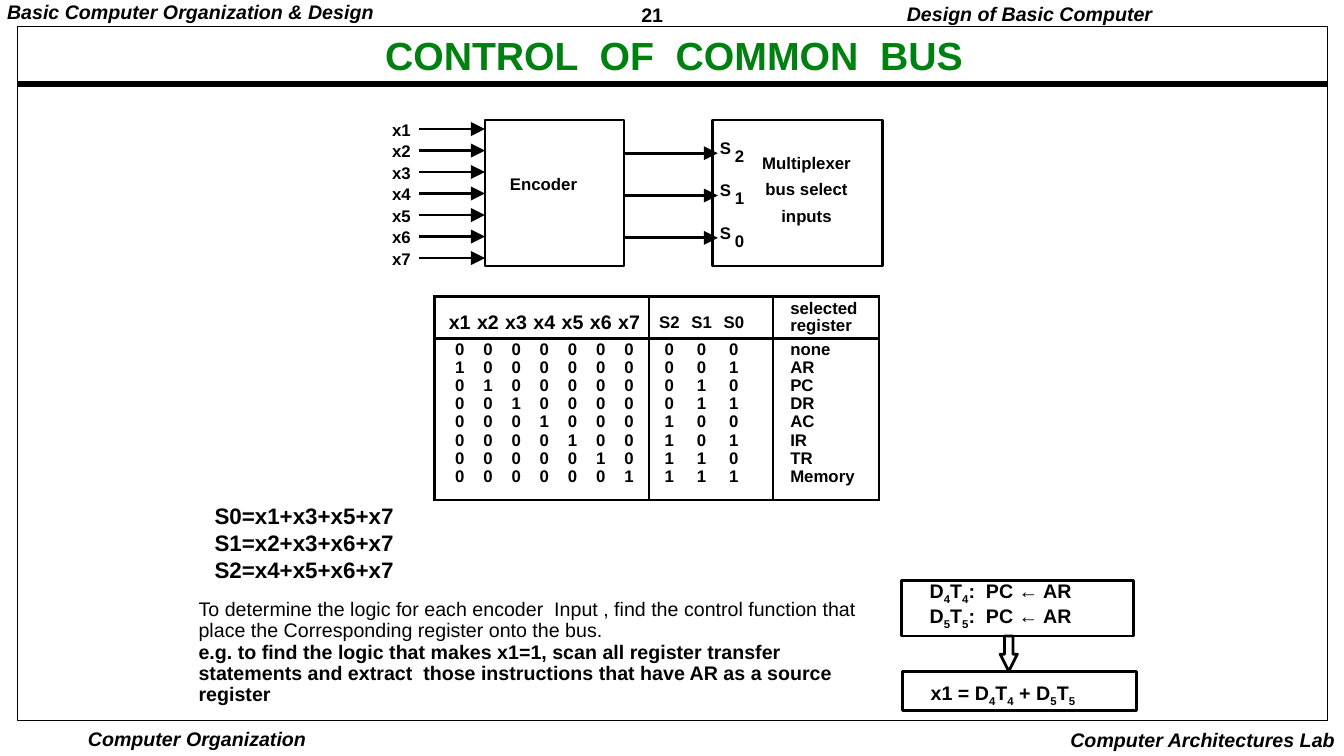
from lxml import etree
from pptx import Presentation
from pptx import util as u
from pptx.dml.color import RGBColor
from pptx.enum import shapes, text
from pptx.oxml import ns

COLORS = {"ink": "000000", "title": "008011"}
INK = RGBColor.from_string(COLORS["ink"])
ALIGN, ANCHOR = text.PP_ALIGN, text.MSO_ANCHOR
HEADING = {"size": u.Pt(14), "bold": True, "italic": True}
STRONG = {"size": u.Pt(14), "bold": True}
SMALL = {"size": u.Pt(12), "bold": True}
WIDE, TIGHT, THIN = (0.1, 0.05), (0.07, 0.03), (0.03, 0.01)

deck = Presentation()
deck.slide_width, deck.slide_height = u.Inches(13.33), u.Inches(7.5)
slide = deck.slides.add_slide(deck.slide_layouts[6])


def write(frame, lines, font, align=ALIGN.LEFT, spacing=0.9, color="ink"):
    """Fill a text frame; parts between underscores become subscripts."""
    for i, line in enumerate(lines):
        para = frame.paragraphs[0] if i == 0 else frame.add_paragraph()
        para.alignment, para.line_spacing = align, spacing
        for j, part in enumerate(line.split("_")):
            if not part:
                continue
            run = para.add_run()
            run.text = part
            for key, value in {"name": "Arial", **font}.items():
                setattr(run.font, key, value)
            run.font.color.rgb = RGBColor.from_string(COLORS[color])
            if j % 2:
                run.font._element.set("baseline", "-25000")


def label(lines, place, font, inset=WIDE, wrap=False, anchor=ANCHOR.TOP, **style):
    """Add a text box at left, top, width, height."""
    frame = slide.shapes.add_textbox(*map(u.Inches, place)).text_frame
    side, edge = map(u.Inches, inset)
    layout = {"word_wrap": wrap, "vertical_anchor": anchor, "margin_left": side,
              "margin_right": side, "margin_top": edge, "margin_bottom": edge}
    for key, value in layout.items():
        setattr(frame, key, value)
    write(frame, lines, font, **style)
    return frame


# Running heads, feet and title
label(["21"], (6.29, 0, 0.38, 0.29), STRONG, TIGHT, spacing=1.0)
label(["Basic Computer Organization & Design"], (0, 0, 3.8, 0.27), HEADING, TIGHT)
label(["Design of Basic Computer"], (8.88, 0, 2.65, 0.31), HEADING, align=ALIGN.RIGHT)
label(["Computer Organization"], (0.84, 7.2, 2.23, 0.26), HEADING, THIN,
      align=ALIGN.CENTER, spacing=1.0)
label(["Computer Architectures Lab"], (10.5, 7.17, 2.84, 0.33), HEADING,
      align=ALIGN.RIGHT, spacing=1.0)
label(["CONTROL  OF  COMMON  BUS"], (2.47, 0.33, 8.43, 0.48),
      {"size": u.Pt(28), "bold": True}, TIGHT, wrap=True, anchor=ANCHOR.MIDDLE,
      align=ALIGN.CENTER, color="title")

# Page frame, block diagram boxes, result boxes and down arrow
RECT = shapes.MSO_SHAPE.RECTANGLE
outlines = [
    (RECT, (0.17, 0.26, 13, 6.89), 0.5),
    (RECT, (4.81, 1.19, 1.38, 1.45), 2),
    (RECT, (7.07, 1.19, 1.68, 1.45), 2),
    (RECT, (8.94, 5.76, 2.3, 0.55), 2),
    (RECT, (8.95, 6.66, 2.32, 0.39), 2),
    (shapes.MSO_SHAPE.DOWN_ARROW, (9.92, 6.31, 0.17, 0.35), 2),
]
for kind, place, weight in outlines:
    outline = slide.shapes.add_shape(kind, *map(u.Inches, place))
    outline.shadow.inherit = False
    outline.fill.background()
    outline.line.color.rgb = INK
    outline.line.width = u.Pt(weight)
outline.adjustments[1] = 1.0

# Title rule, encoder inputs and select lines
input_ys = [1.28 + 1.28 * i / 6 for i in range(7)]
select_ys = [1.52 + 0.42 * i for i in range(3)]
wires = [(0.17, 13.16, 0.83, 4.5, False)]
wires += [(4.16, 4.81, y, 2, True) for y in input_ys]
wires += [(6.2, 7.12, y, 2, True) for y in select_ys]
for start, end, y, weight, arrow in wires:
    wire = slide.shapes.add_connector(shapes.MSO_CONNECTOR.STRAIGHT,
                                      *map(u.Inches, (start, y, end, y)))
    wire.line.color.rgb = INK
    wire.line.width = u.Pt(weight)
    if arrow:
        etree.SubElement(wire.line._get_or_add_ln(), ns.qn("a:tailEnd"),
                         type="triangle", w="lg", len="lg")
    etree.SubElement(wire._element.spPr, ns.qn("a:effectLst"))

# Block diagram labels
for i, y in enumerate(input_ys, 1):
    label([f"x{i}"], (3.79, y - 0.12, 0.39, 0.28), SMALL)
for digit, y in zip("210", select_ys):
    label(["S"], (7.04, y - 0.18, 0.31, 0.28), SMALL)
    label([digit], (7.19, y - 0.1, 0.29, 0.28), SMALL)
label(["Encoder"], (4.96, 1.7, 0.87, 0.28), SMALL)
label(["Multiplexer", "bus select", "inputs"], (7.45, 1.4, 1.1, 0.9), SMALL,
      align=ALIGN.CENTER, spacing=u.Pt(19))

# Truth table: row n raises input xn and shows n in binary on S2 S1 S0
registers = ["none", "AR", "PC", "DR", "AC", "IR", "TR", "Memory"]
rows = [[f"x{i}" for i in range(1, 8)] + ["S2", "S1", "S0", "selected\nregister"]]
for n, register in enumerate(registers):
    rows.append([str(int(n == i)) for i in range(1, 8)] + list(f"{n:03b}") + [register])
widths = [0.39] + [0.28] * 5 + [0.34, 0.36, 0.32, 0.55, 1.05]
heights = [0.42, 0.21] + [0.18] * 6 + [0.31]
left_pads = {0: 0.11, 7: 0.04, 10: 0.17}
right_pads = {6: 0.06, 9: 0.23}
truth = slide.shapes.add_table(
    len(rows), len(widths),
    *map(u.Inches, (4.31, 2.94, sum(widths), sum(heights)))).table
truth.first_row = truth.horz_banding = False
truth._tbl.tblPr.find(ns.qn("a:tableStyleId")).text = "{2D5ABB26-0587-4C30-8999-92F81FD0307C}"
for c, width in enumerate(widths):
    truth.columns[c].width = u.Inches(width)
for r, height in enumerate(heights):
    truth.rows[r].height = u.Inches(height)
    for c, value in enumerate(rows[r]):
        cell = truth.cell(r, c)
        top_pad = {0: 0.11 if c < 10 else 0, 1: 0.03}.get(r, 0)
        pads = {"margin_left": left_pads.get(c, 0), "margin_right": right_pads.get(c, 0),
                "margin_top": top_pad, "margin_bottom": 0}
        for key, pad in pads.items():
            setattr(cell, key, u.Inches(pad))
        cell.vertical_anchor = ANCHOR.MIDDLE if r == 0 else ANCHOR.TOP
        write(cell.text_frame, value.split("\n"), STRONG if r == 0 and c < 7 else SMALL,
              ALIGN.LEFT if c == 10 else ALIGN.CENTER)
        # Every edge is stated, alike on both sides, so none is inferred
        borders = {"lnL": c in (0, 7, 10), "lnR": c in (6, 9, 10),
                   "lnT": r in (0, 1), "lnB": r in (0, 8)}
        for side, drawn in borders.items():
            border = etree.SubElement(cell._tc.get_or_add_tcPr(), ns.qn(f"a:{side}"),
                                      w=str(u.Pt(2) if drawn else 0))
            paint = etree.SubElement(border, ns.qn("a:solidFill" if drawn else "a:noFill"))
            if drawn:
                etree.SubElement(paint, ns.qn("a:srgbClr"), val=COLORS["ink"])
        cell.fill.background()

# Select equations and explanation
label(["S0=x1+x3+x5+x7", "S1=x2+x3+x6+x7", "S2=x4+x5+x6+x7"], (2.03, 4.93, 2, 0.91),
      {"size": u.Pt(16), "bold": True}, spacing=1.0)
explanation = label(
    ["To determine the logic for each encoder  Input , find the control function that "
     "place the Corresponding register onto the bus.",
     "e.g. to find the logic that makes x1=1, scan all register transfer statements and "
     "extract  those instructions that have AR as a source register"],
    (1.9, 5.92, 6.84, 1.12), {"size": u.Pt(14)}, TIGHT, wrap=True)
explanation.paragraphs[1].runs[0].font.bold = True

# Worked example for x1
label(["D_4_T_4_:  PC ← AR", "D_5_T_5_:  PC ← AR"], (9.15, 5.71, 1.58, 0.51),
      STRONG, TIGHT, spacing=0.96)
label(["x1 = D_4_T_4_ + D_5_T_5_"], (9.16, 6.73, 1.62, 0.27), STRONG, TIGHT)

deck.save("out.pptx")
